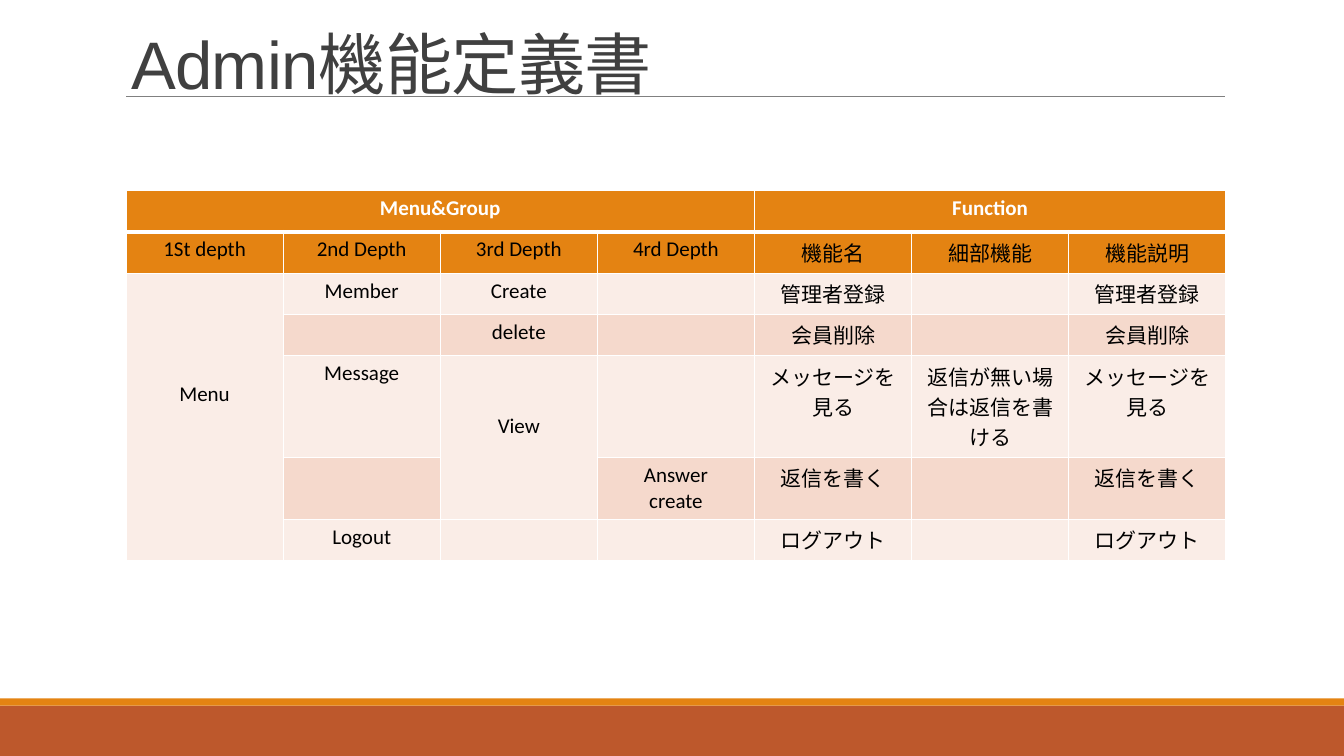
from lxml import etree
from pptx import Presentation, util as u
from pptx.dml.color import RGBColor
from pptx.enum import shapes, text
from pptx.oxml.ns import qn

HUE = {"rust": "BD582C", "gold": "E48312", "pale": "FAEDE7", "peach": "F5D9CC",
       "gray": "808080", "ink": "404040", "black": "000000", "white": "FFFFFF"}


def style(font, form, hue):
    for key, val in form.items():
        setattr(font, key, val)
    font.color.rgb = RGBColor.from_string(HUE[hue])


def edge(props, side, width):
    line = etree.SubElement(props, qn("a:" + side), w=str(u.Pt(width)))
    fill = etree.SubElement(line, qn("a:solidFill"))
    etree.SubElement(fill, qn("a:srgbClr"), val=HUE["white"])


deck = Presentation()
deck.slide_width, deck.slide_height = u.Inches(13.33), u.Inches(7.5)
wide = deck.slide_width
slide = deck.slides.add_slide(deck.slide_layouts[5])
items = slide.shapes

for top, high, hue in [(7, 0.5, "rust"), (6.93, 0.07, "gold")]:
    band = items.add_shape(shapes.MSO_SHAPE.RECTANGLE, 0, u.Inches(top), wide, u.Inches(high))
    band.shadow.inherit = False
    band.fill.solid()
    band.fill.fore_color.rgb = RGBColor.from_string(HUE[hue])
    band.line.fill.background()

left, right, rule_y = u.Inches(1.25), u.Inches(12.15), u.Inches(0.96)
rule = items.add_connector(shapes.MSO_CONNECTOR.STRAIGHT, left, rule_y, right, rule_y)
rule.line.width = u.Pt(0.5)
rule.line.color.rgb = RGBColor.from_string(HUE["gray"])
etree.SubElement(rule._element.spPr, qn("a:effectLst"))

title = items.title
place = {"left": 1.2, "top": 0.02, "width": 11, "height": 1.05}
for key, val in place.items():
    setattr(title, key, u.Inches(val))
frame = title.text_frame
frame.text = "Admin機能定義書"
frame.auto_size = text.MSO_AUTO_SIZE.NONE
frame.vertical_anchor = text.MSO_ANCHOR.BOTTOM
para = frame.paragraphs[0]
para.alignment = text.PP_ALIGN.LEFT
para.line_spacing = 0.85
style(para.runs[0].font, {"name": "Arial", "size": u.Pt(48)}, "ink")
para.runs[0].font._element.set("spc", "-50")

rows = [
    ["Menu&Group", "", "", "", "Function", "", ""],
    ["1St depth", "2nd Depth", "3rd Depth", "4rd Depth", "機能名", "細部機能", "機能説明"],
    ["Menu", "Member", "Create", "", "管理者登録", "", "管理者登録"],
    ["", "", "delete", "", "会員削除", "", "会員削除"],
    ["", "Message", "View", "", "メッセージを見る", "返信が無い場合は返信を書ける", "メッセージを見る"],
    ["", "", "", "Answer\ncreate", "返信を書く", "", "返信を書く"],
    ["", "Logout", "", "", "ログアウト", "", "ログアウト"],
]
highs = [0.41, 0.41, 0.41, 0.41, 1.01, 0.61, 0.41]
spans = [(0, 0, 0, 3), (0, 4, 0, 6), (2, 0, 6, 0), (4, 2, 5, 2)]
lifts = {(2, 0): 0.49, (4, 2): 0.28}

grid = items.add_table(len(rows), len(rows[0]), left, u.Inches(1.89),
                       u.Inches(10.91), u.Inches(sum(highs))).table
for col in grid.columns:
    col.width = u.Inches(10.91 / len(rows[0]))
for row, high in zip(grid.rows, highs):
    row.height = u.Inches(high)

for r, words in enumerate(rows):
    for c, word in enumerate(words):
        cell = grid.cell(r, c)
        props = cell._tc.get_or_add_tcPr()
        for side in ("lnL", "lnR", "lnT", "lnB"):
            thick = (r, side) in [(0, "lnB"), (1, "lnT")]
            edge(props, side, 3 if thick else 1)
        cell.fill.solid()
        hue = "gold" if r < 2 else ("pale", "peach")[r % 2]
        cell.fill.fore_color.rgb = RGBColor.from_string(HUE[hue])
        cell.text = word
        for para in cell.text_frame.paragraphs:
            para.alignment = text.PP_ALIGN.CENTER
            form = {"name": "Calibri", "size": u.Pt(15), "bold": r == 0}
            for run in para.runs:
                style(run.font, form, "black" if r else "white")
        if (r, c) in lifts:
            cell.vertical_anchor = text.MSO_ANCHOR.MIDDLE
            cell.margin_bottom = u.Inches(lifts[r, c])

for r, c, last_r, last_c in spans:
    grid.cell(r, c).merge(grid.cell(last_r, last_c))

deck.save("out.pptx")
